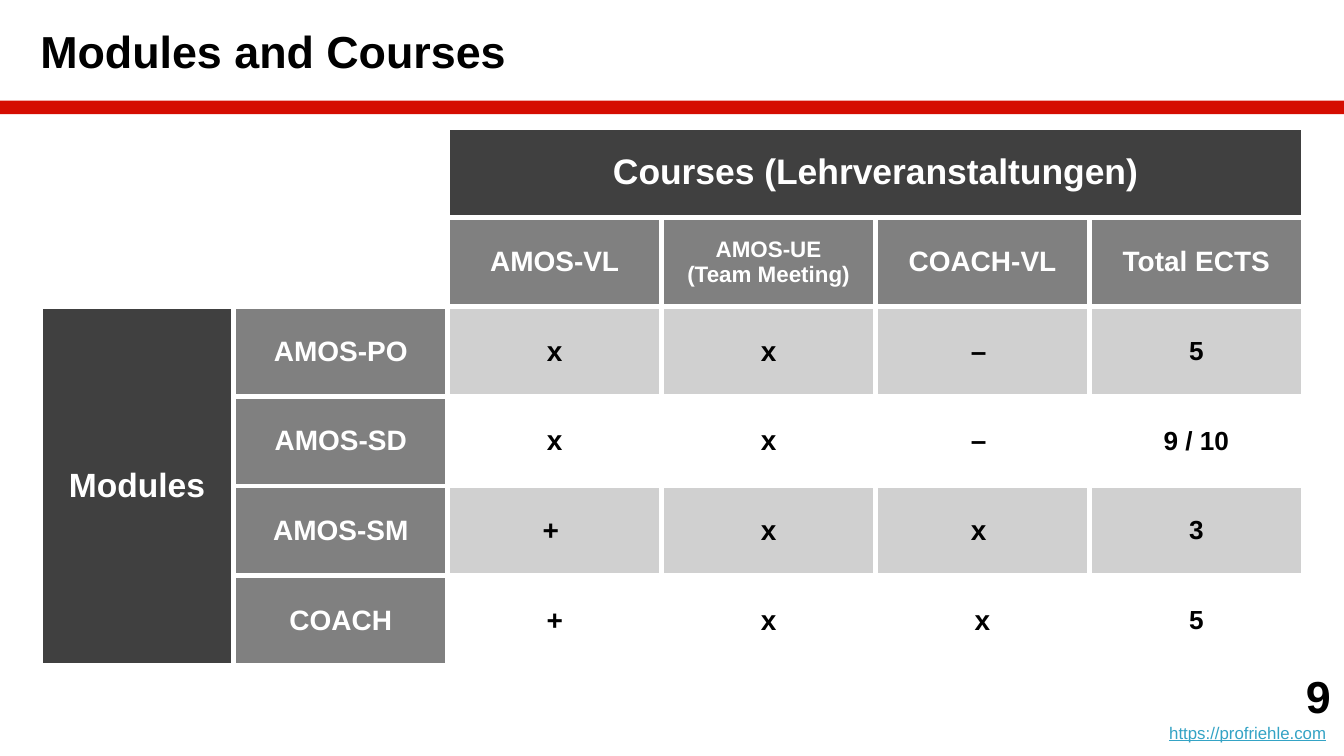
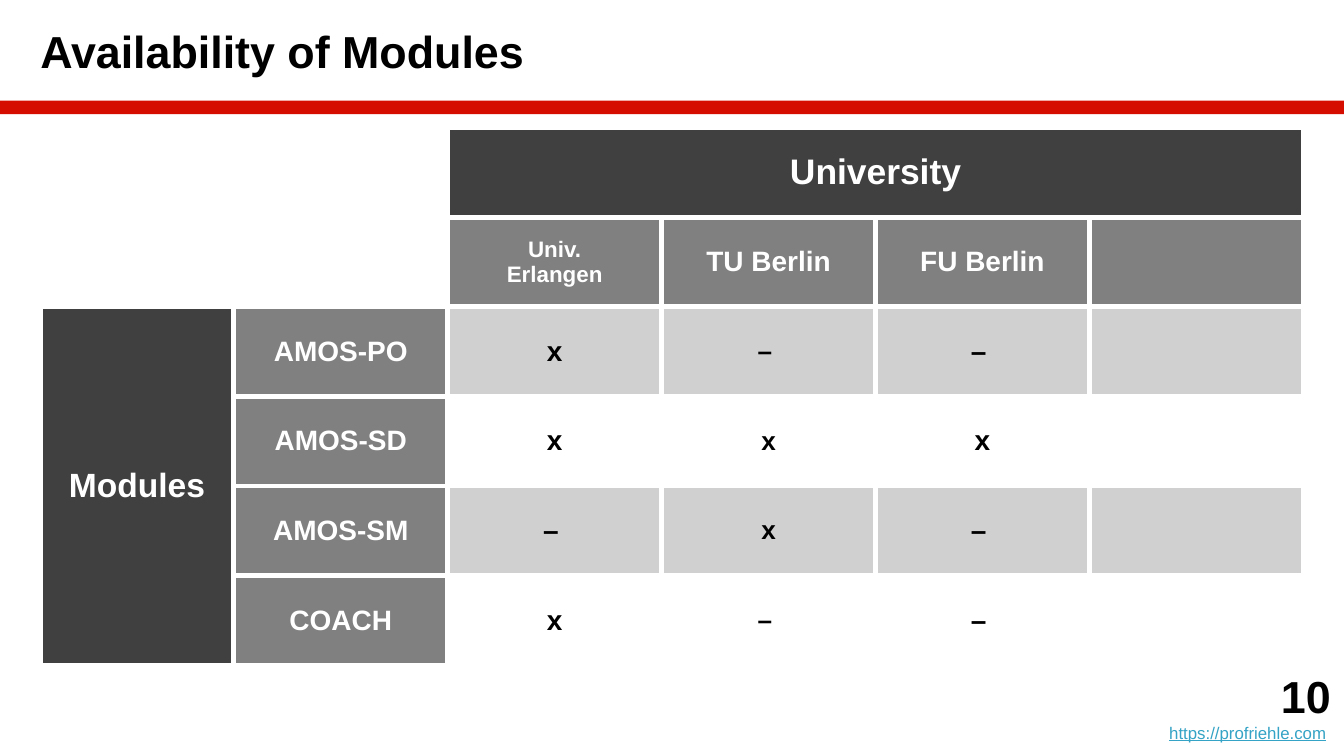
from dataclasses import dataclass

from lxml.etree import SubElement
from pptx import Presentation
from pptx.dml.color import RGBColor as Color
from pptx.enum.shapes import MSO_SHAPE as Shape
from pptx.enum.text import MSO_ANCHOR as Anchor, PP_ALIGN as Align
from pptx.oxml.ns import qn
from pptx.util import Pt


@dataclass(frozen=True)
class Theme:
    font: str = "Arial"
    black: str = "000000"
    white: str = "FFFFFF"
    red: str = "D50D01"
    dark: str = "404040"
    middle: str = "808080"
    light: str = "D0D0D0"
    link: str = "34A3C5"
    title_size: float = 24
    group_size: float = 19
    side_size: float = 18
    label_size: float = 15
    value_size: float = 14
    small_size: float = 12
    link_size: float = 9
    inset: float = 7.2
    border: float = 3


@dataclass(frozen=True)
class Box:
    left: float
    top: float
    width: float
    height: float

    def lengths(self):
        return Pt(self.left), Pt(self.top), Pt(self.width), Pt(self.height)


@dataclass(frozen=True)
class Matrix:
    title: str
    group: str
    headings: tuple
    marks: tuple
    small_column: int


THEME = Theme()
PAGE = Box(0, 0, 720, 405)
TITLE = Box(0, 0, 720, 54)
BAND = Box(0, 54, 720, 7.2)
TABLE = Box(21.6, 68.4, 676.7, 288)
FOOTER = Box(576, 347.4, 144, 57.6)
SIDE_WIDTH = 103.7
FIRST_NUMBER = 9
ADDRESS = "https://profriehle.com"
MODULES = ("AMOS-PO", "AMOS-SD", "AMOS-SM", "COACH")

MATRICES = (
    Matrix(
        "Modules and Courses",
        "Courses (Lehrveranstaltungen)",
        ("AMOS-VL", "AMOS-UE\v(Team Meeting)", "COACH-VL", "Total ECTS"),
        (
            ("x", "x", "– ", "5"),
            ("x", "x", "– ", "9 / 10"),
            ("+ ", "x", "x ", "3"),
            ("+", "x", "x", "5"),
        ),
        small_column=3,
    ),
    Matrix(
        "Availability of Modules",
        "University",
        ("Univ.\nErlangen", "TU Berlin", "FU Berlin", ""),
        (
            ("x", "– ", "– ", ""),
            ("x", "x", "x", ""),
            ("– ", "x", "– ", ""),
            ("x", "– ", "– ", ""),
        ),
        small_column=1,
    ),
)


def style_run(span, size, color, bold=True, underline=False):
    span.font.name = THEME.font
    span.font.size = Pt(size)
    span.font.bold = bold
    span.font.underline = underline
    span.font.color.rgb = Color.from_string(color)


def style_frame(frame, align, size, color):
    for para in frame.paragraphs:
        para.alignment = align
        for span in para.runs:
            style_run(span, size, color)


def set_insets(target, left, top, right, bottom):
    target.margin_left, target.margin_top = Pt(left), Pt(top)
    target.margin_right, target.margin_bottom = Pt(right), Pt(bottom)


def add_title(page, box, text):
    title = page.shapes.title
    title.left, title.top, title.width, title.height = box.lengths()
    frame = title.text_frame
    frame.text = text
    frame.word_wrap = True
    frame.vertical_anchor = Anchor.MIDDLE
    set_insets(frame, 21.6, 0, 0, 0)
    style_frame(frame, Align.LEFT, THEME.title_size, THEME.black)


def add_band(page, box):
    band = page.shapes.add_shape(Shape.RECTANGLE, *box.lengths())
    band.shadow.inherit = False
    band.fill.solid()
    band.fill.fore_color.rgb = Color.from_string(THEME.red)
    band.line.fill.background()


def add_borders(cell):
    properties = cell._tc.get_or_add_tcPr()
    for position, side in enumerate(("lnL", "lnR", "lnT", "lnB")):
        line = SubElement(properties, qn(f"a:{side}"), w=str(Pt(THEME.border)))
        fill = SubElement(line, qn("a:solidFill"))
        SubElement(fill, qn("a:srgbClr"), val=THEME.white)
        properties.insert(position, line)


def fill_cell(cell, text, fill, size, color=THEME.white, side_inset=THEME.inset):
    cell.text_frame.text = text
    cell.vertical_anchor = Anchor.MIDDLE
    set_insets(cell, side_inset, THEME.inset, side_inset, THEME.inset)
    style_frame(cell.text_frame, Align.CENTER, size, color)
    cell.fill.solid()
    cell.fill.fore_color.rgb = Color.from_string(fill)


def add_matrix(page, box, matrix):
    row_count, column_count = len(MODULES) + 2, len(matrix.headings) + 2
    grid = page.shapes.add_table(row_count, column_count, *box.lengths()).table
    grid.first_row = grid.horz_banding = False
    for row in grid.rows:
        row.height = Pt(box.height / row_count)
    for column in grid.columns:
        column.width = Pt((box.width - SIDE_WIDTH) / (column_count - 1))
    grid.columns[0].width = Pt(SIDE_WIDTH)

    for cell in grid.iter_cells():
        cell.fill.background()
        add_borders(cell)
    grid.cell(0, 2).merge(grid.cell(0, column_count - 1))
    grid.cell(2, 0).merge(grid.cell(row_count - 1, 0))
    fill_cell(grid.cell(0, 2), matrix.group, THEME.dark, THEME.group_size)
    fill_cell(grid.cell(2, 0), "Modules", THEME.dark, THEME.side_size)

    for index, heading in enumerate(matrix.headings):
        two_lines = len(heading.splitlines()) > 1
        size = THEME.small_size if two_lines else THEME.label_size
        fill_cell(grid.cell(1, index + 2), heading, THEME.middle, size)

    for index, (module, marks) in enumerate(zip(MODULES, matrix.marks)):
        row = index + 2
        fill_cell(grid.cell(row, 1), module, THEME.middle, THEME.label_size, side_inset=0)
        shade = THEME.white if index % 2 else THEME.light
        for column, mark in enumerate(marks):
            small = column == matrix.small_column
            size = THEME.value_size if small else THEME.label_size
            fill_cell(grid.cell(row, column + 2), mark, shade, size, THEME.black)


def add_footer(page, box, number):
    frame = page.shapes.add_textbox(*box.lengths()).text_frame
    frame.text = f"{number}\n{ADDRESS}"
    frame.word_wrap = True
    frame.vertical_anchor = Anchor.BOTTOM
    set_insets(frame, *[THEME.inset] * 4)
    style_frame(frame, Align.RIGHT, THEME.title_size, THEME.black)
    address = frame.paragraphs[1]
    style_run(address.runs[0], THEME.link_size, THEME.link, bold=False, underline=True)
    space = address.add_run()
    space.text = " "
    style_run(space, THEME.link_size, THEME.dark, bold=False)


def add_matrix_page(deck, matrix, number):
    page = deck.slides.add_slide(deck.slide_layouts.get_by_name("Title Only"))
    add_band(page, BAND)
    add_title(page, TITLE, matrix.title)
    add_matrix(page, TABLE, matrix)
    add_footer(page, FOOTER, number)


def main():
    deck = Presentation()
    deck.slide_width, deck.slide_height = Pt(PAGE.width), Pt(PAGE.height)
    for number, matrix in enumerate(MATRICES, FIRST_NUMBER):
        add_matrix_page(deck, matrix, number)
    deck.save("out.pptx")


if __name__ == "__main__":
    main()
